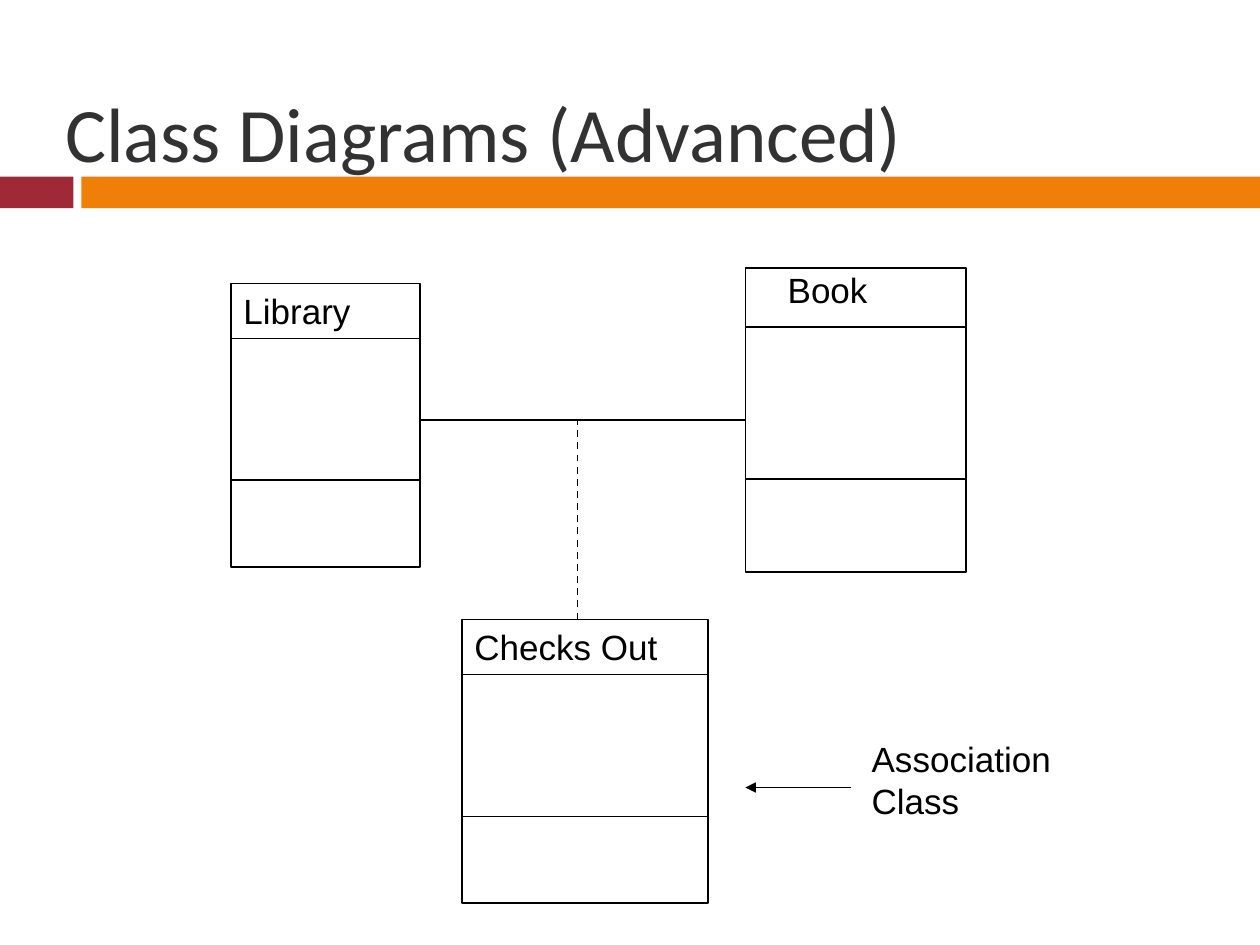
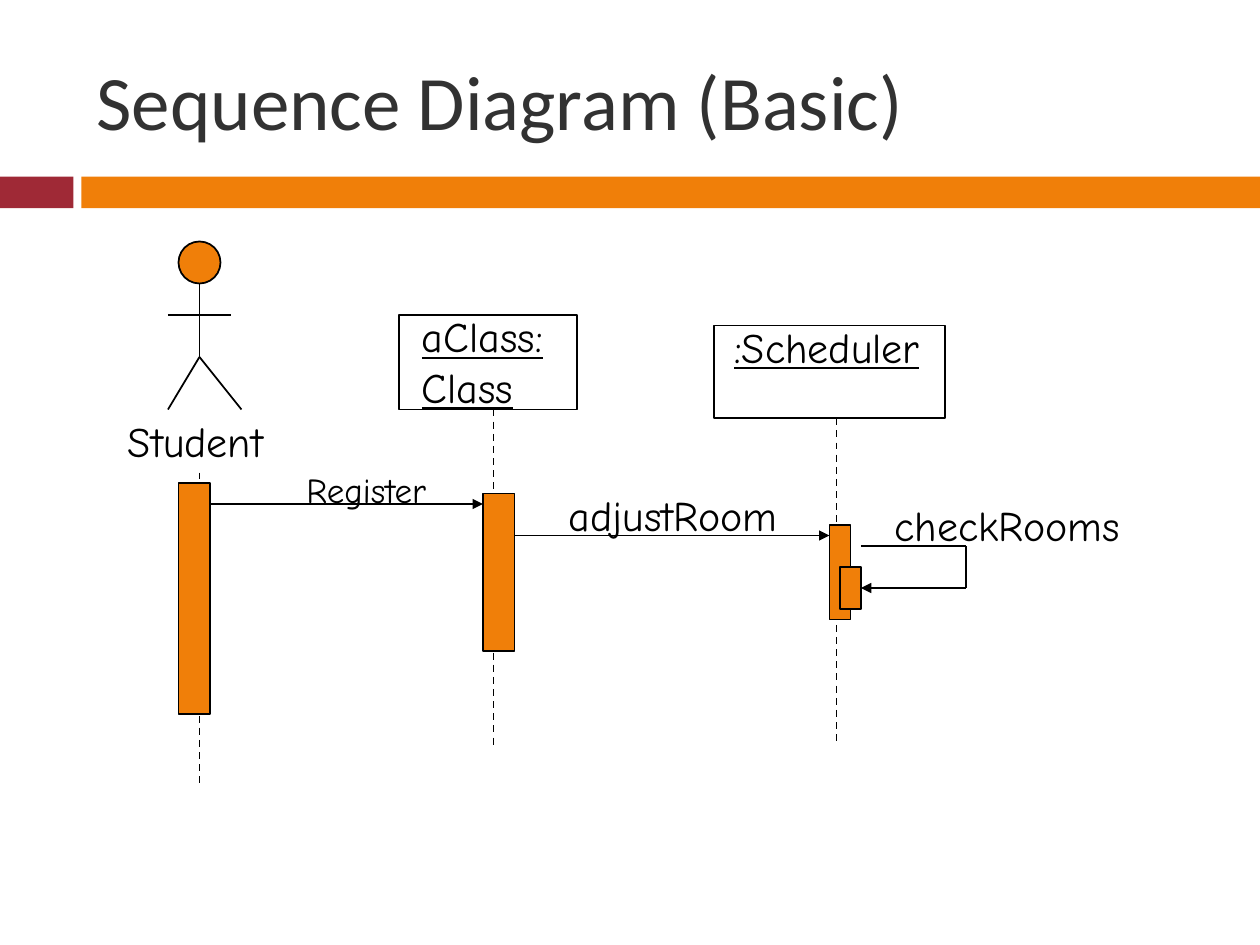
"""Builds two UML slides: a class diagram and a sequence diagram."""
from dataclasses import dataclass
from typing import Any

import lxml.etree
import pptx
import pptx.dml.color
import pptx.enum.dml
import pptx.enum.shapes
import pptx.enum.text
import pptx.oxml.ns
import pptx.util

Pt = pptx.util.Pt
RGBColor = pptx.dml.color.RGBColor
Preset = pptx.enum.shapes.MSO_SHAPE

BLACK = RGBColor(0x00, 0x00, 0x00)
CHARCOAL = RGBColor(0x32, 0x32, 0x32)
CRIMSON = RGBColor(0x9F, 0x29, 0x36)
ORANGE = RGBColor(0xF0, 0x7F, 0x09)

SLIDE_WIDTH, SLIDE_HEIGHT = 720, 540
BAND_TOP, BAND_HEIGHT = 101, 18
TITLE_ONLY = 5
DIVIDERS = (7 / 36, 25 / 36)

TITLE_FONT = {"name": "Calibri", "size": Pt(44)}
CLASS_FONT = {"name": "Arial", "size": Pt(20)}
OBJECT_FONT = {"name": "Comic Neue", "size": Pt(24)}
SMALL_FONT = OBJECT_FONT | {"size": Pt(20)}
UNDERLINED_FONT = OBJECT_FONT | {"underline": True}


@dataclass(frozen=True)
class Area:
    left: float
    top: float
    width: float
    height: float

    def lengths(self) -> tuple:
        return Pt(self.left), Pt(self.top), Pt(self.width), Pt(self.height)


@dataclass(frozen=True)
class UmlClass:
    name: str
    frame: Area
    label: Area


@dataclass(frozen=True)
class Label:
    text: str
    area: Area
    font: dict


@dataclass(frozen=True)
class Stroke:
    x1: float
    y1: float
    x2: float
    y2: float
    dashed: bool = False
    arrow: bool = False


CLASSES = (
    UmlClass("Library", Area(132, 162, 108, 162), Area(132, 162, 96, 36)),
    UmlClass("Book", Area(426, 153, 126, 174), Area(443, 150, 68, 36)),
    UmlClass("Checks Out", Area(264, 354, 140.5, 162), Area(264, 354, 143, 36)),
)
CLASS_LINKS = (
    Stroke(240, 240, 426, 240),
    Stroke(330, 354, 330, 240, dashed=True),
    Stroke(486, 450, 426, 450, arrow=True),
)
CLASS_NOTE = Label("Association\nClass", Area(491, 418, 142, 65), CLASS_FONT)

ACTOR_HEAD = Area(102, 138, 24, 24)
ACTOR_LIMBS = (
    Stroke(114, 162, 114, 204),
    Stroke(96, 180, 132, 180),
    Stroke(114, 204, 96, 234),
    Stroke(114, 204, 138, 234),
)
LIFELINES = (
    Stroke(114, 270, 114, 450, dashed=True),
    Stroke(282, 234, 282, 426, dashed=True),
    Stroke(478, 239, 478, 426, dashed=True),
)
OBJECT_FRAMES = (Area(228, 180, 102, 54), Area(408, 186, 132, 53))
ACTIVATIONS = (
    Area(102, 276, 18, 132),
    Area(276, 282, 18, 90),
    Area(474, 300, 12, 54),
    Area(480, 324, 12, 24),
)
MESSAGES = (
    Stroke(120, 288, 276, 288, arrow=True),
    Stroke(294, 306, 474, 306, arrow=True),
    Stroke(492, 312, 552, 312),
    Stroke(552, 312, 552, 336),
    Stroke(552, 336, 492, 336, arrow=True),
)
SEQUENCE_LABELS = (
    Label("Student", Area(66, 234, 106, 36), OBJECT_FONT),
    Label("aClass:\nClass", Area(234, 174, 91, 65), UNDERLINED_FONT),
    Label(":Scheduler", Area(412.5, 180, 135, 36), UNDERLINED_FONT),
    Label("Register", Area(168, 264, 94, 31), SMALL_FONT),
    Label("adjustRoom", Area(318, 276, 145, 36), OBJECT_FONT),
    Label("checkRooms", Area(504, 282, 150, 36), OBJECT_FONT),
)


def apply_format(target: Any, values: dict) -> None:
    """Set each named attribute on the target."""
    for name, value in values.items():
        setattr(target, name, value)


def add_figure(slide: Any, area: Area, fill: RGBColor | None = None,
               outlined: bool = True, preset: Any = Preset.RECTANGLE) -> Any:
    """Draw a preset shape with an optional fill and outline."""
    figure = slide.shapes.add_shape(preset, *area.lengths())
    figure.shadow.inherit = False
    if fill is None:
        figure.fill.background()
    else:
        figure.fill.solid()
        figure.fill.fore_color.rgb = fill
    if outlined:
        figure.line.color.rgb = BLACK
        figure.line.width = Pt(1)
    else:
        figure.line.fill.background()
    return figure


def add_stroke(slide: Any, stroke: Stroke) -> None:
    """Draw a straight line, dashed or with an arrowhead when asked."""
    connector = slide.shapes.add_connector(
        pptx.enum.shapes.MSO_CONNECTOR.STRAIGHT,
        Pt(stroke.x1), Pt(stroke.y1), Pt(stroke.x2), Pt(stroke.y2))
    connector.line.color.rgb = BLACK
    connector.line.width = Pt(1)
    if stroke.dashed:
        connector.line.dash_style = pptx.enum.dml.MSO_LINE.DASH
    properties = connector._element.spPr
    qn = pptx.oxml.ns.qn
    if stroke.arrow:
        lxml.etree.SubElement(properties.find(qn("a:ln")), qn("a:tailEnd"), type="triangle")
    lxml.etree.SubElement(properties, qn("a:effectLst"))


def add_label(slide: Any, label: Label) -> None:
    """Write a label, one paragraph for each line."""
    frame = slide.shapes.add_textbox(*label.area.lengths()).text_frame
    frame.word_wrap = True
    frame.text = label.text
    for paragraph in frame.paragraphs:
        apply_format(paragraph.font, label.font)
        paragraph.font.color.rgb = BLACK


def add_class(slide: Any, uml_class: UmlClass) -> None:
    """Draw a class frame with its two dividers and its name."""
    frame = uml_class.frame
    add_figure(slide, frame)
    for share in DIVIDERS:
        y = frame.top + share * frame.height
        add_stroke(slide, Stroke(frame.left, y, frame.left + frame.width, y))
    add_label(slide, Label(uml_class.name, uml_class.label, CLASS_FONT))


def add_titled_slide(deck: Any, title_text: str, area: Area) -> Any:
    """Add a slide and place its formatted title."""
    slide = deck.slides.add_slide(deck.slide_layouts[TITLE_ONLY])
    title = slide.shapes.title
    apply_format(title, dict(zip(("left", "top", "width", "height"), area.lengths())))
    title.text_frame.text = title_text
    title.text_frame.vertical_anchor = pptx.enum.text.MSO_ANCHOR.MIDDLE
    paragraph = title.text_frame.paragraphs[0]
    paragraph.alignment = pptx.enum.text.PP_ALIGN.LEFT
    apply_format(paragraph.font, TITLE_FONT)
    paragraph.font.color.rgb = CHARCOAL
    return slide


def move_bands_to_layout(slide: Any) -> None:
    """Draw the title bands and hand them to the layout shared by the slides."""
    for left, right, color in ((0, 42, CRIMSON), (46.5, SLIDE_WIDTH, ORANGE)):
        band = add_figure(slide, Area(left, BAND_TOP, right - left, BAND_HEIGHT),
                          color, outlined=False)
        slide.slide_layout.shapes._spTree.append(band._element)


def build_class_diagram(deck: Any) -> None:
    """Build the class diagram slide."""
    slide = add_titled_slide(deck, "Class Diagrams (Advanced)", Area(30, 30, 672, 90))
    move_bands_to_layout(slide)
    for uml_class in CLASSES:
        add_class(slide, uml_class)
    for link in CLASS_LINKS:
        add_stroke(slide, link)
    add_label(slide, CLASS_NOTE)


def build_sequence_diagram(deck: Any) -> None:
    """Build the sequence diagram slide."""
    slide = add_titled_slide(deck, "Sequence Diagram (Basic)", Area(48, 18, 642, 78))
    add_figure(slide, ACTOR_HEAD, ORANGE, preset=Preset.OVAL)
    for stroke in ACTOR_LIMBS + LIFELINES:
        add_stroke(slide, stroke)
    for frame in OBJECT_FRAMES:
        add_figure(slide, frame)
    for activation in ACTIVATIONS:
        add_figure(slide, activation, ORANGE)
    for message in MESSAGES:
        add_stroke(slide, message)
    for label in SEQUENCE_LABELS:
        add_label(slide, label)


def main() -> None:
    """Build and save the deck."""
    deck = pptx.Presentation()
    deck.slide_width, deck.slide_height = Pt(SLIDE_WIDTH), Pt(SLIDE_HEIGHT)
    build_class_diagram(deck)
    build_sequence_diagram(deck)
    deck.save("out.pptx")


if __name__ == "__main__":
    main()
